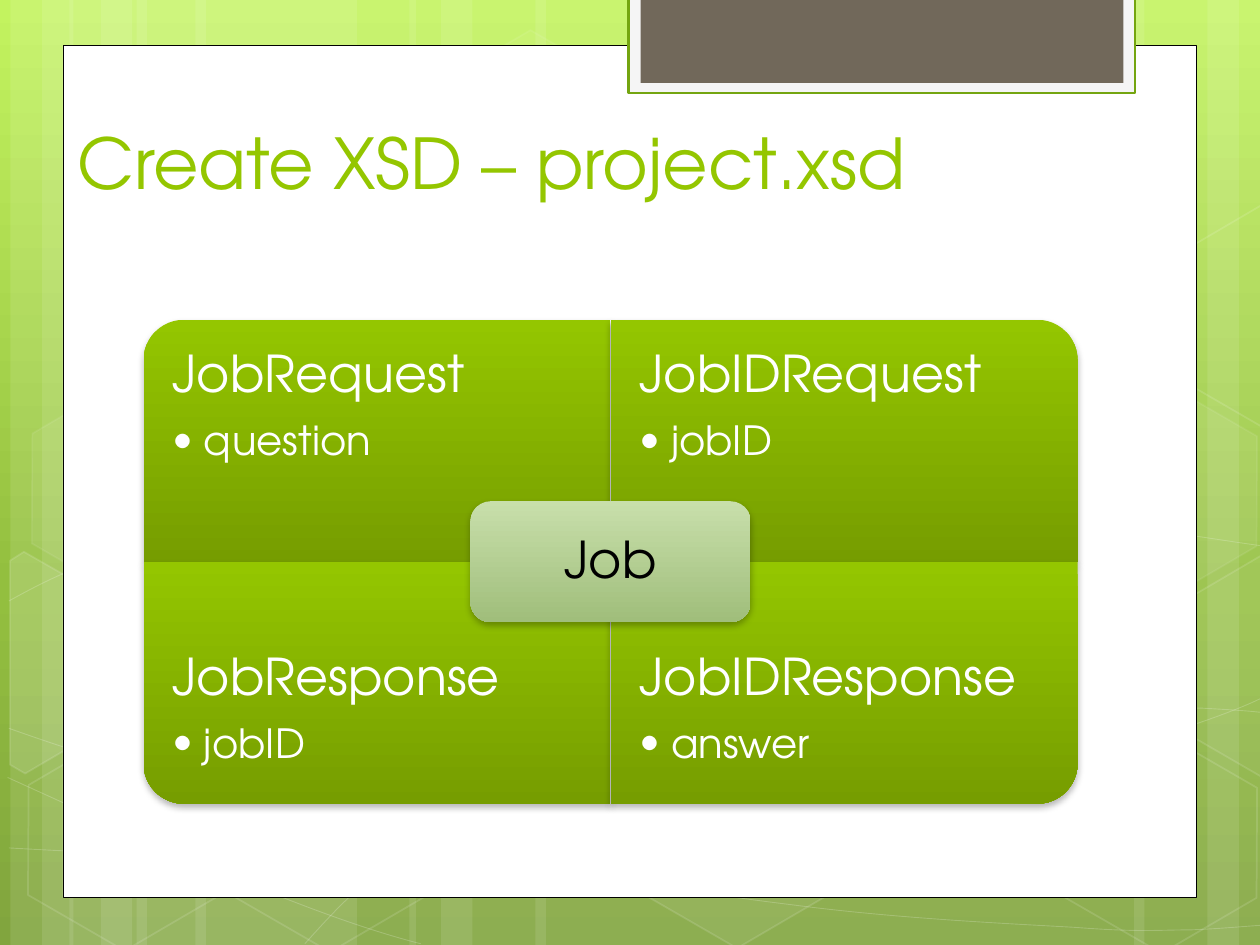
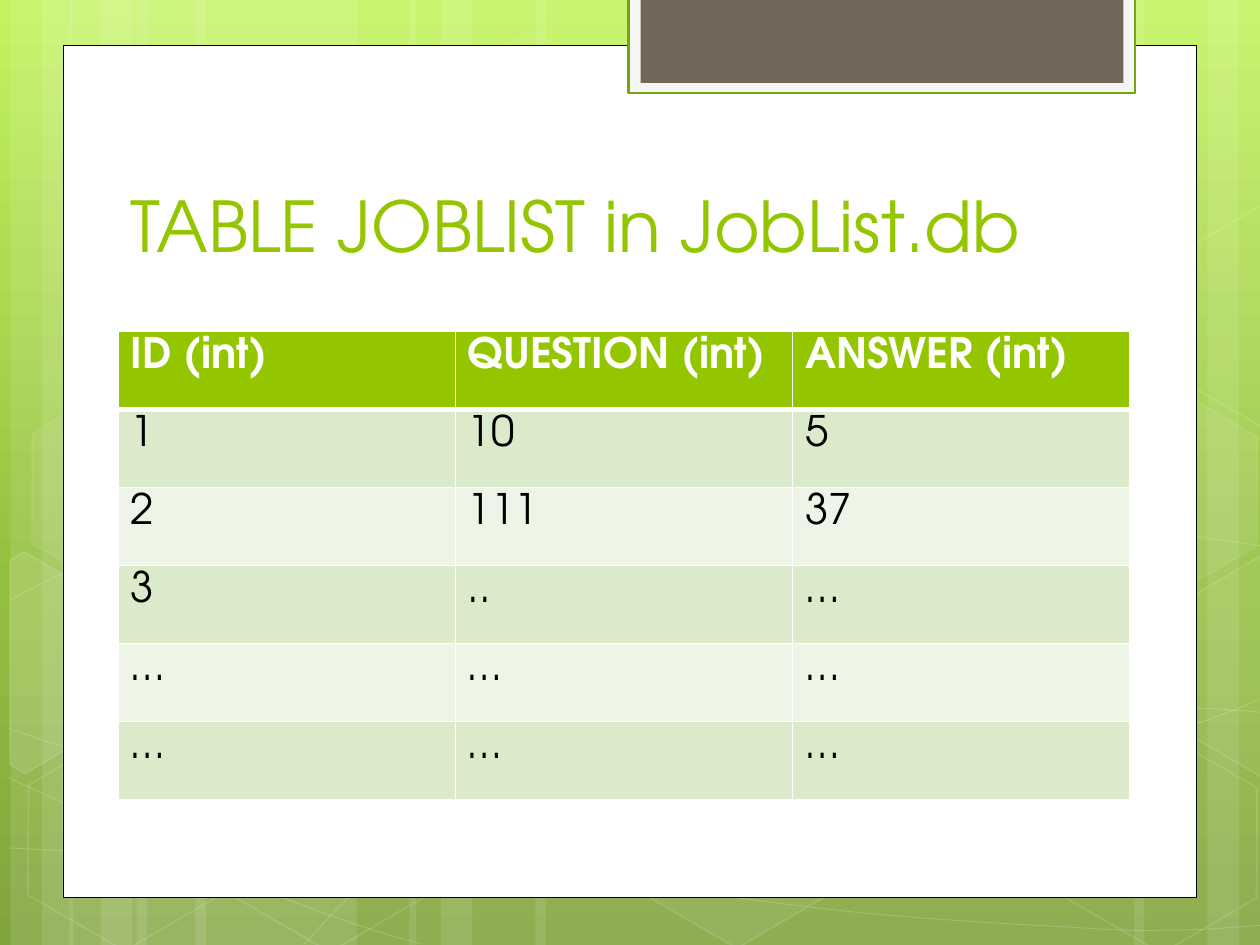
from copy import deepcopy
from itertools import product
from lxml.etree import SubElement as sub
from pptx import Presentation
from pptx.dml.color import RGBColor as RGB
from pptx.enum.shapes import MSO_SHAPE as KIND
from pptx.enum.text import MSO_ANCHOR as ANCHOR, PP_ALIGN as ALIGN
from pptx.oxml.ns import qn
from pptx.util import Inches, Pt

FONT = "TeX Gyre Adventor"
WHITE, BLACK, LIME = "FFFFFF", "000000", "94C600"
SKY, LEAF, SAGE = "C3F35F 93BF3F 81A53E", "94C600 769D00", "C8DFAB A0BE7B"
PALE, MIST = "DCEACC", "EEF5E7"

deck = Presentation()
deck.slide_width, deck.slide_height = Inches(10), Inches(7.5)
col = row = deck.slide_width // 120
tenth = deck.slide_width // 10


def hue(fill, code, alpha=100):
    tones = code.split()
    if len(tones) == 1:
        fill.solid()
        fill.fore_color.rgb = RGB.from_string(code)
        if alpha < 100:
            tint = fill._xPr.find(".//" + qn("a:srgbClr"))
            sub(tint, qn("a:alpha"), val=str(alpha * 1000))
        return
    fill.gradient()
    fill.gradient_angle = 270
    stops = fill._xPr.find(".//" + qn("a:gsLst"))
    while len(stops) < len(tones):
        stops.append(deepcopy(stops[0]))
    for i, (stop, tone) in enumerate(zip(fill.gradient_stops, tones)):
        stop.color.rgb = RGB.from_string(tone)
        stop.position = i / (len(tones) - 1)


def trim(shape, code=None, alpha=100, edge=None, width=1, fade=100, glow=False):
    shape.shadow.inherit = False
    if code:
        hue(shape.fill, code, alpha)
    else:
        shape.fill.background()
    if edge:
        shape.line.width = Pt(width)
        hue(shape.line.fill, edge, fade)
    else:
        shape.line.fill.background()
    if glow:
        root = shape.element.spPr.find(qn("a:effectLst"))
        cast = sub(root, qn("a:outerShdw"), blurRad=str(Pt(4)), dist=str(Pt(2)),
                   dir="5400000", rotWithShape="0")
        tint = sub(cast, qn("a:srgbClr"), val=BLACK)
        sub(tint, qn("a:alpha"), val="28000")


bars = [(13, 21), (1, 6), (4, 10), (18.6, 21), (6.6, 6), (9.6, 10),
        (88, 21), (115, 6), (108, 10), (51, 37), (39, 6), (42, 10)]

waves = [
    [(.07, 6.73), (.61, 6.76), (1.15, 6.79), (1.9, 6.78), (2.65, 6.77), (3.58, 6.75),
     (4.58, 6.65), (5.58, 6.55), (7, 6.36), (7.92, 6.17), (8.83, 5.98), (9.77, 5.68),
     (10.07, 5.51)],
    [(.07, 4.77), (.36, 4.61), (.65, 4.46), (1.21, 4.31), (1.78, 4.16), (2.59, 3.94),
     (3.47, 3.87), (4.36, 3.8), (5.44, 3.79), (6.54, 3.87), (7.64, 3.95), (9.47, 4.26),
     (10.07, 4.34)],
    [(.06, 6.17), (1.27, 6.72), (2.47, 7.27), (3.34, 7.49)],
    [(.07, 5.78), (.38, 5.89), (.7, 6), (1.28, 6.16), (1.86, 6.31), (2.73, 6.56),
     (3.57, 6.73), (4.4, 6.9), (5.45, 7.08), (6.28, 7.18), (7.11, 7.29), (8, 7.33),
     (8.53, 7.36), (9.05, 7.4), (9.19, 7.38), (9.45, 7.38), (9.71, 7.37), (9.89, 7.35),
     (10.07, 7.34)],
    [(2.42, 7.49), (2.6, 7.29), (2.78, 7.09), (3.02, 6.91), (3.26, 6.73), (3.6, 6.53),
     (3.88, 6.39), (4.16, 6.25), (4.33, 6.19), (4.7, 6.09), (5.06, 5.99), (5.73, 5.85),
     (6.08, 5.78), (6.44, 5.71), (6.49, 5.71), (6.8, 5.69), (7.11, 5.66), (7.6, 5.63),
     (7.94, 5.62), (8.29, 5.61), (8.86, 5.62), (8.86, 5.62), (8.86, 5.62), (9.53, 5.62),
     (9.53, 5.62), (9.71, 5.63), (9.88, 5.64), (9.97, 5.65), (10.06, 5.66),
     (10.03, 5.65), (10.06, 5.66)],
]

hexes = [(40.08, 4.32, 4, 8), (59.64, 70.68, 6, 12), (1.32, 70.92, 0, 12),
         (1.68, 37.44, 7, 8), (20.88, 71.04, 0, 12), (90.36, 54.36, 10, 12),
         (100.08, 71.16, 0, 12), (100.08, 37.68, 7, 8)]

shards = [
    (10, [(.08, 4.45), (.19, 4.38), (.96, 4.82), (.95, 5.7), (.2, 6.14), (.08, 6.07)]),
    (4, [(9.26, 4.85), (10.01, 4.41), (10.09, 4.46), (10.09, 6.13), (10.02, 6.17),
         (9.26, 5.73)]),
    (0, [(9.26, 2.07), (10.01, 1.63), (10.1, 1.68), (10.09, 3.35), (10.02, 3.39),
         (9.26, 2.95)]),
]

panels = [((6, 4.3, 108, 81.2), dict(code=WHITE, edge=BLACK, width=.5)),
          ((59.85, -.2, 48.25, 9.1), dict(code="F5F5F5", edge="74A510", width=1.25)),
          ((61, -.2, 46, 8.1), dict(code="71685A"))]

heads = [("Create XSD – project.xsd", (6.2, 10.05, 92.2, 9.96)),
         ("TABLE JOBLIST in JobList.db", (11.25, 10.96, 92.2, 15))]

runs = []
pages = []
for head, box in heads:
    page = deck.slides.add_slide(deck.slide_layouts[6])
    pages.append(page)
    back = page.background.fill
    hue(back, SKY)
    back.gradient_stops[1].position = .62
    forms = page.shapes

    for left, width in bars:
        bar = forms.add_shape(KIND.RECTANGLE, int(left * col), 0, int(width * col),
                              deck.slide_height)
        trim(bar, WHITE, 10)

    for wave in waves:
        dots = [(x * tenth, y * tenth) for x, y in wave]
        pen = forms.build_freeform(*dots[0])
        pen.add_line_segments(dots[1:], close=False)
        curve = pen.convert_to_shape()
        trim(curve, edge=WHITE, width=.5, fade=20)
        trace = curve.element.spPr.find(".//" + qn("a:pathLst"))[0]
        steps = trace.findall(qn("a:lnTo"))
        for i in range(0, len(steps), 3):
            bend = sub(trace, qn("a:cubicBezTo"))
            for step in steps[i:i + 3]:
                bend.append(step[0])
                trace.remove(step)

    for left, top, alpha, fade in hexes:
        comb = forms.add_shape(KIND.HEXAGON, int(left * col), int(top * row),
                               21 * col, int(18.2 * row))
        comb.adjustments[0] = .285
        comb.rotation = 30
        trim(comb, WHITE if alpha else None, alpha, WHITE, 1, fade)

    for alpha, dots in shards:
        dots = [(x * tenth, y * tenth) for x, y in dots]
        pen = forms.build_freeform(*dots[0])
        pen.add_line_segments(dots[1:])
        trim(pen.convert_to_shape(), WHITE if alpha else None, alpha, WHITE, 1, 12)

    for spot, look in panels:
        trim(forms.add_shape(KIND.RECTANGLE, *[int(n * col) for n in spot]), **look)

    frame = forms.add_textbox(*[int(n * col) for n in box]).text_frame
    frame.word_wrap = True
    frame.vertical_anchor = ANCHOR.BOTTOM
    runs.append((frame.paragraphs[0], head, LIME, dict(size=Pt(40))))

forms = pages[0].shapes
left, top, wide, high = 13.67 * col, 30.45 * row, 44.48 * col, 23.05 * row
tiles = [("JobRequest", "question", 270), ("JobIDRequest", "jobID", 0),
         ("JobResponse", "jobID", 180), ("JobIDResponse", "answer", 90)]
sides = ("margin_left", "margin_top", "margin_right", "margin_bottom")

for (down, over), (name, field, spin) in zip(product((0, 1), (0, 1)), tiles):
    x, y = left + over * wide, top + down * high
    w, h = (high, wide) if spin % 180 else (wide, high)
    tile = forms.add_shape(KIND.ROUND_1_RECTANGLE, int(x + (wide - w) / 2),
                           int(y + (high - h) / 2), int(w), int(h))
    tile.rotation = spin
    trim(tile, LEAF, glow=True)
    tile.fill.gradient_angle = (270 + spin) % 360

    label = forms.add_textbox(int(x), int(y + down * high / 4), int(wide), int(high * .75))
    frame = label.text_frame
    for key, val in dict.fromkeys(sides, Inches(.23)).items():
        setattr(frame, key, val)
    frame.word_wrap = True
    lead, item = frame.paragraphs[0], frame.add_paragraph()
    for para, gap in ((lead, 10), (item, 3.5)):
        para.line_spacing, para.space_after = .9, Pt(gap)
    item.level = 1
    prop = item._p.get_or_add_pPr()
    prop.set("marL", str(Inches(.25)))
    prop.set("indent", str(-Inches(.25)))
    sub(prop, qn("a:buFont"), typeface=FONT)
    sub(prop, qn("a:buChar"), char="•")
    runs.append((lead, name, WHITE, dict(size=Pt(29))))
    runs.append((item, field, WHITE, dict(size=Pt(23))))

core = forms.add_shape(KIND.ROUNDED_RECTANGLE, int(left + wide * .7), int(top + high * .75),
                       int(wide * .6), int(high / 2))
trim(core, SAGE, glow=True)
core.text_frame.vertical_anchor = ANCHOR.MIDDLE
para = core.text_frame.paragraphs[0]
for key, val in dict(alignment=ALIGN.CENTER, line_spacing=.9, space_after=Pt(10)).items():
    setattr(para, key, val)
runs.append((para, "Job", BLACK, dict(size=Pt(29))))

data = [("ID (int)", "QUESTION (int)", "ANSWER (int)"), ("1", "10", "5"),
        ("2", "111", "37"), ("3", "..", "…"), ("…",) * 3, ("…",) * 3]
grid = pages[1].shapes.add_table(6, 3, int(11.25 * col), int(31.56 * row),
                                 int(96.36 * col), int(44.57 * row)).table
for i, line in enumerate(data):
    for j, word in enumerate(line):
        cell = grid.cell(i, j)
        hue(cell.fill, LIME if i == 0 else PALE if i % 2 else MIST)
        prop = cell._tc.get_or_add_tcPr()
        for k, side in enumerate("LRTB"):
            thick = 3 if (i, side) in ((0, "B"), (1, "T")) else 1
            rule = sub(prop, qn("a:ln" + side), w=str(Pt(thick)))
            sub(sub(rule, qn("a:solidFill")), qn("a:srgbClr"), val=WHITE)
            prop.insert(k, rule)
        runs.append((cell.text_frame.paragraphs[0], word, BLACK if i else WHITE,
                     dict(size=Pt(24), bold=i == 0)))

for para, word, code, look in runs:
    run = para.add_run()
    run.text = word
    for key, val in dict(look, name=FONT).items():
        setattr(run.font, key, val)
    hue(run.font.fill, code)

deck.save("out.pptx")
